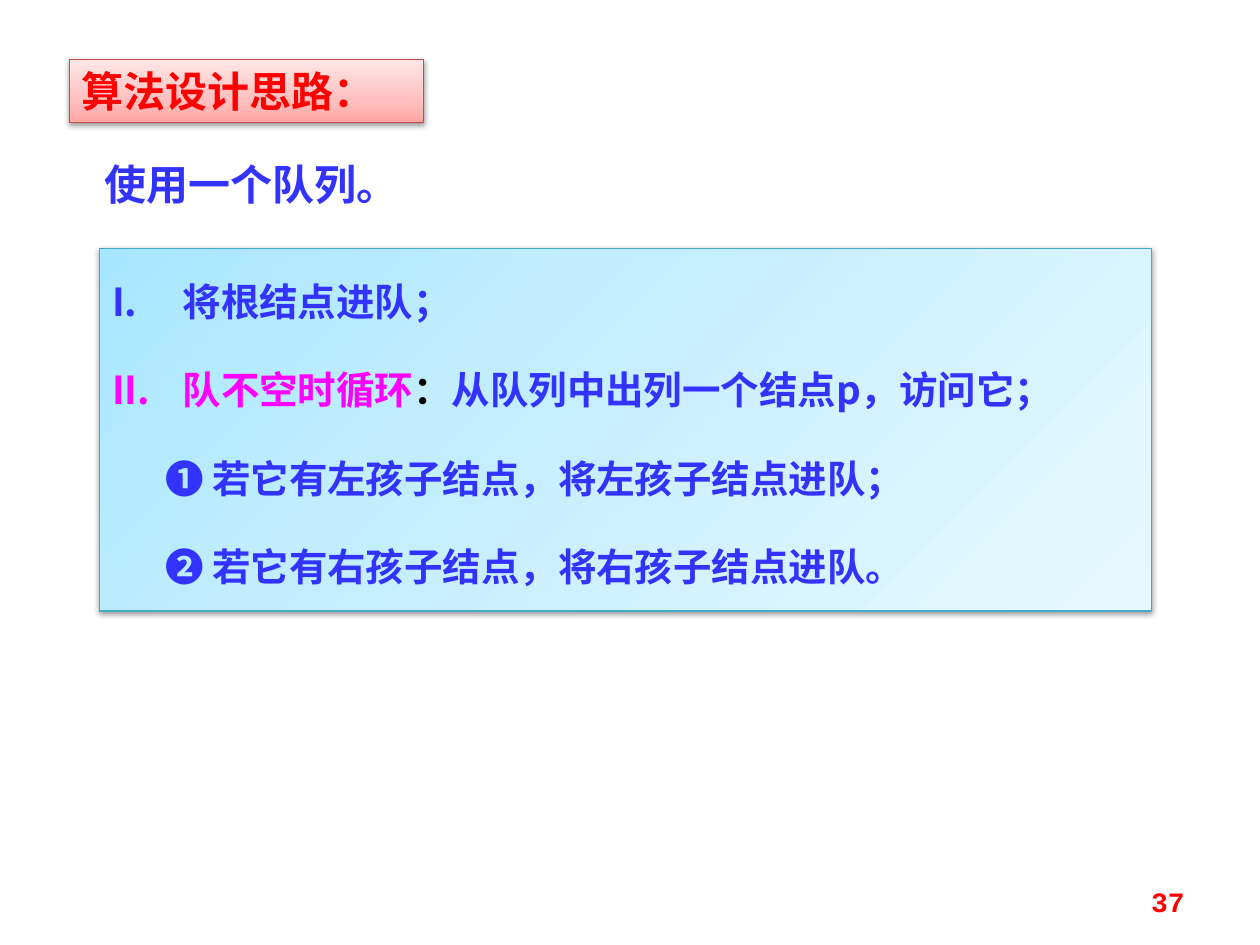
"""Build the slide on the queue-based level-order traversal idea."""
from dataclasses import dataclass

from lxml.etree import SubElement
from pptx import Presentation
from pptx.dml.color import RGBColor
from pptx.enum.text import MSO_ANCHOR, MSO_AUTO_SIZE, PP_ALIGN
from pptx.oxml.ns import qn
from pptx.util import Inches, Pt

BLUE = RGBColor(0x33, 0x33, 0xFF)
MAGENTA = RGBColor(0xFF, 0x00, 0xFF)
RED = RGBColor(0xFF, 0x00, 0x00)
BLACK = RGBColor(0x00, 0x00, 0x00)
HEADING_EDGE = RGBColor(0xBF, 0x4C, 0x48)
STEPS_EDGE = RGBColor(0x46, 0xAA, 0xC5)
HEADING_TINTS = (RGBColor(0xFF, 0xA6, 0xA5), RGBColor(0xFF, 0xC0, 0xBF), RGBColor(0xFF, 0xE7, 0xE7))
STEPS_TINTS = (RGBColor(0xA7, 0xE6, 0xFF), RGBColor(0xC1, 0xED, 0xFF), RGBColor(0xE7, 0xF8, 0xFF))
TINT_STOPS = (0, 35, 100)
CJK_FONT = "Noto Sans CJK SC"
CODE_FONT = "Courier New"


@dataclass(frozen=True)
class Phrase:
    text: str
    color: RGBColor = BLUE


@dataclass(frozen=True)
class Step:
    phrases: tuple[Phrase, ...]
    numbered: bool = False


STEPS = (
    Step((Phrase("将根结点进队；"),), numbered=True),
    Step((Phrase("队不空时循环", MAGENTA), Phrase("：", BLACK),
          Phrase("从队列中出列一个结点p，访问它；")), numbered=True),
    Step((Phrase("❶ 若它有左孩子结点，将左孩子结点进队；"),)),
    Step((Phrase("❷ 若它有右孩子结点，将右孩子结点进队。"),)),
)


def place(shape, left: float, top: float, width: float, height: float) -> None:
    shape.left, shape.top = Inches(left), Inches(top)
    shape.width, shape.height = Inches(width), Inches(height)


def add_color(parent, color: RGBColor):
    return SubElement(parent, qn("a:srgbClr"), val=str(color))


def style_panel(shape, tints: tuple[RGBColor, ...], angle: int, edge: RGBColor) -> None:
    properties = shape.fill._xPr
    gradient = SubElement(properties, qn("a:gradFill"), rotWithShape="1")
    stops = SubElement(gradient, qn("a:gsLst"))
    for position, tint in zip(TINT_STOPS, tints):
        add_color(SubElement(stops, qn("a:gs"), pos=str(position * 1000)), tint)
    SubElement(gradient, qn("a:lin"), ang=str(angle * 60000), scaled="0")
    shape.line.color.rgb = edge
    shape.line.width = Pt(0.75)
    effects = SubElement(properties, qn("a:effectLst"))
    shadow = SubElement(effects, qn("a:outerShdw"), blurRad=str(Pt(3.1)), dist=str(Pt(1.6)),
                        dir="5400000", rotWithShape="0")
    SubElement(add_color(shadow, BLACK), qn("a:alpha"), val="38000")


def style_font(font, size: int, color: RGBColor | None, name: str = CJK_FONT) -> None:
    font.size, font.bold, font.name = Pt(size), True, name
    if color is not None:
        font.color.rgb = color
    SubElement(font._element, qn("a:ea"), typeface=CJK_FONT)


def write_line(shape, text: str, size: int, color: RGBColor, align: PP_ALIGN,
               anchor: MSO_ANCHOR = MSO_ANCHOR.TOP, name: str = CJK_FONT) -> None:
    frame = shape.text_frame
    frame.word_wrap, frame.vertical_anchor = True, anchor
    line = frame.paragraphs[0]
    line.text, line.alignment = text, align
    style_font(line.font, size, color, name)


def write_step(paragraph, step: Step) -> None:
    paragraph.line_spacing = 1.5
    layout = paragraph._p.get_or_add_pPr()
    before = SubElement(layout, qn("a:spcBef"))
    SubElement(before, qn("a:spcPct"), val="50000")
    if step.numbered:
        layout.set("marL", str(Inches(0.56)))
        layout.set("indent", str(Inches(-0.56)))
        SubElement(layout, qn("a:buFont"), typeface="+mj-lt")
        SubElement(layout, qn("a:buAutoNum"), type="romanUcPeriod")
    else:
        layout.set("marL", str(Inches(0.42)))
        layout.set("indent", "0")
        SubElement(layout, qn("a:buNone"))
    style_font(paragraph.font, 22, None)
    for phrase in step.phrases:
        run = paragraph.add_run()
        run.text = phrase.text
        run.font.color.rgb = phrase.color


def main() -> None:
    deck = Presentation()
    deck.slide_width, deck.slide_height = Inches(10), Inches(7.5)
    slide = deck.slides.add_slide(deck.slide_layouts[1])

    steps = slide.placeholders[1]
    place(steps, 0.79, 1.97, 8.35, 2.88)
    style_panel(steps, STEPS_TINTS, 45, STEPS_EDGE)
    steps_frame = steps.text_frame
    steps_frame.auto_size = MSO_AUTO_SIZE.NONE
    for index, step in enumerate(STEPS):
        write_step(steps_frame.add_paragraph() if index else steps_frame.paragraphs[0], step)

    heading = slide.shapes.title
    place(heading, 0.55, 0.47, 2.81, 0.5)
    style_panel(heading, HEADING_TINTS, 270, HEADING_EDGE)
    heading.text_frame.auto_size = MSO_AUTO_SIZE.NONE
    write_line(heading, "算法设计思路：", 24, RED, PP_ALIGN.LEFT)

    summary = slide.shapes.add_textbox(Inches(0.55), Inches(1.21), Inches(2.89), Inches(0.5))
    write_line(summary, "使用一个队列。", 24, BLUE, PP_ALIGN.CENTER)

    page_number = slide.shapes.add_textbox(Inches(7.17), Inches(6.95), Inches(2.33), Inches(0.4))
    write_line(page_number, "37", 16, RED, PP_ALIGN.RIGHT, MSO_ANCHOR.MIDDLE, CODE_FONT)

    deck.save("out.pptx")


if __name__ == "__main__":
    main()
